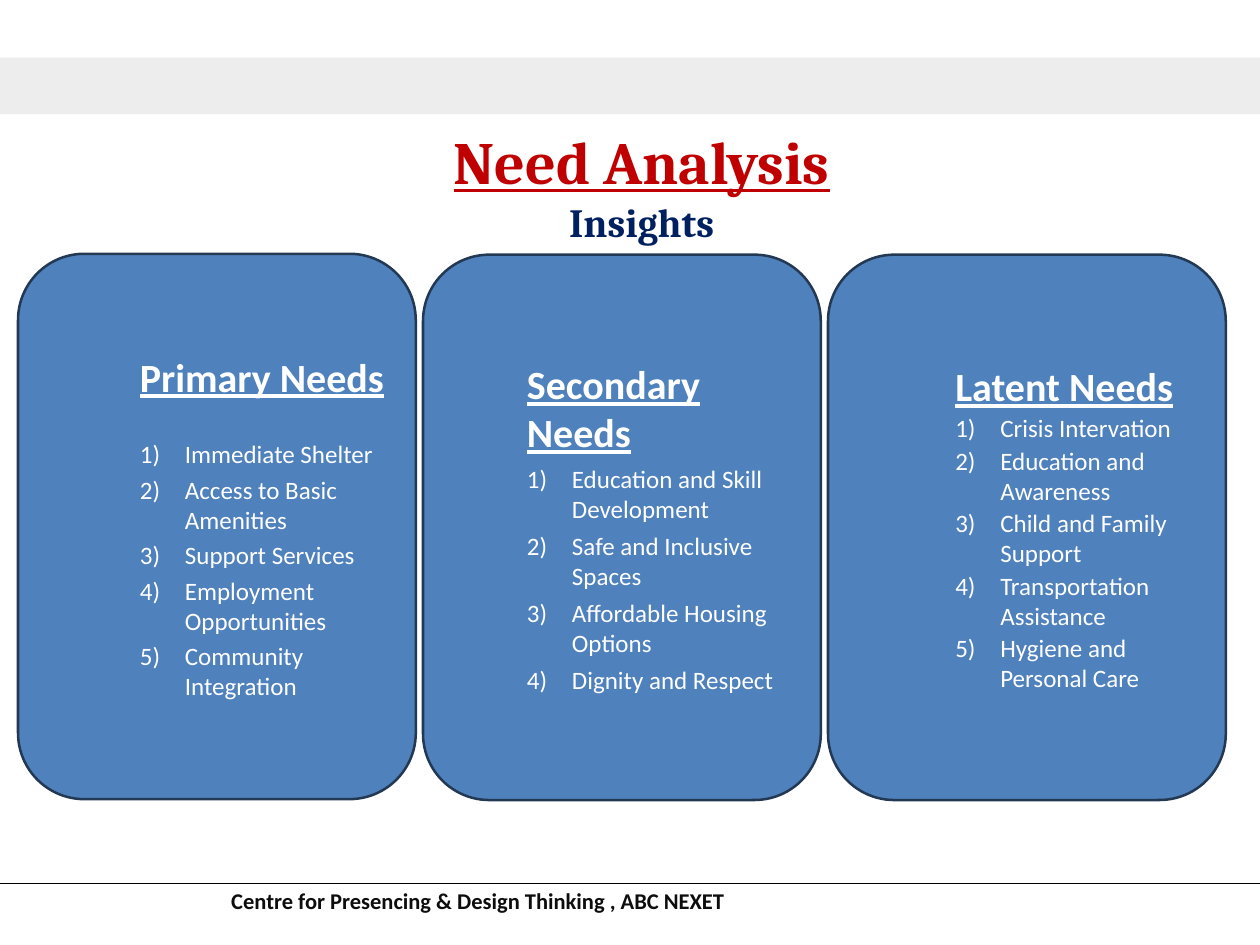
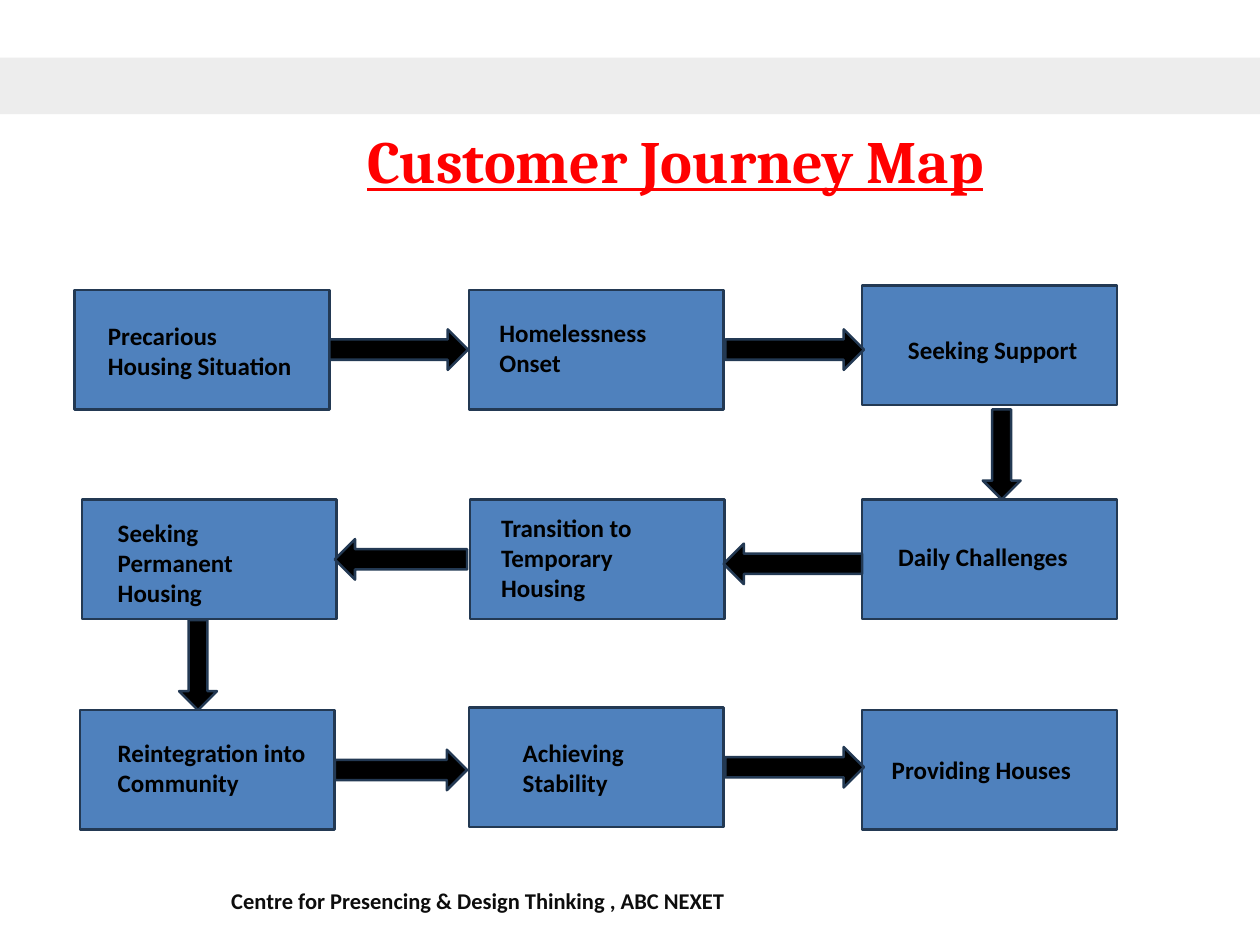
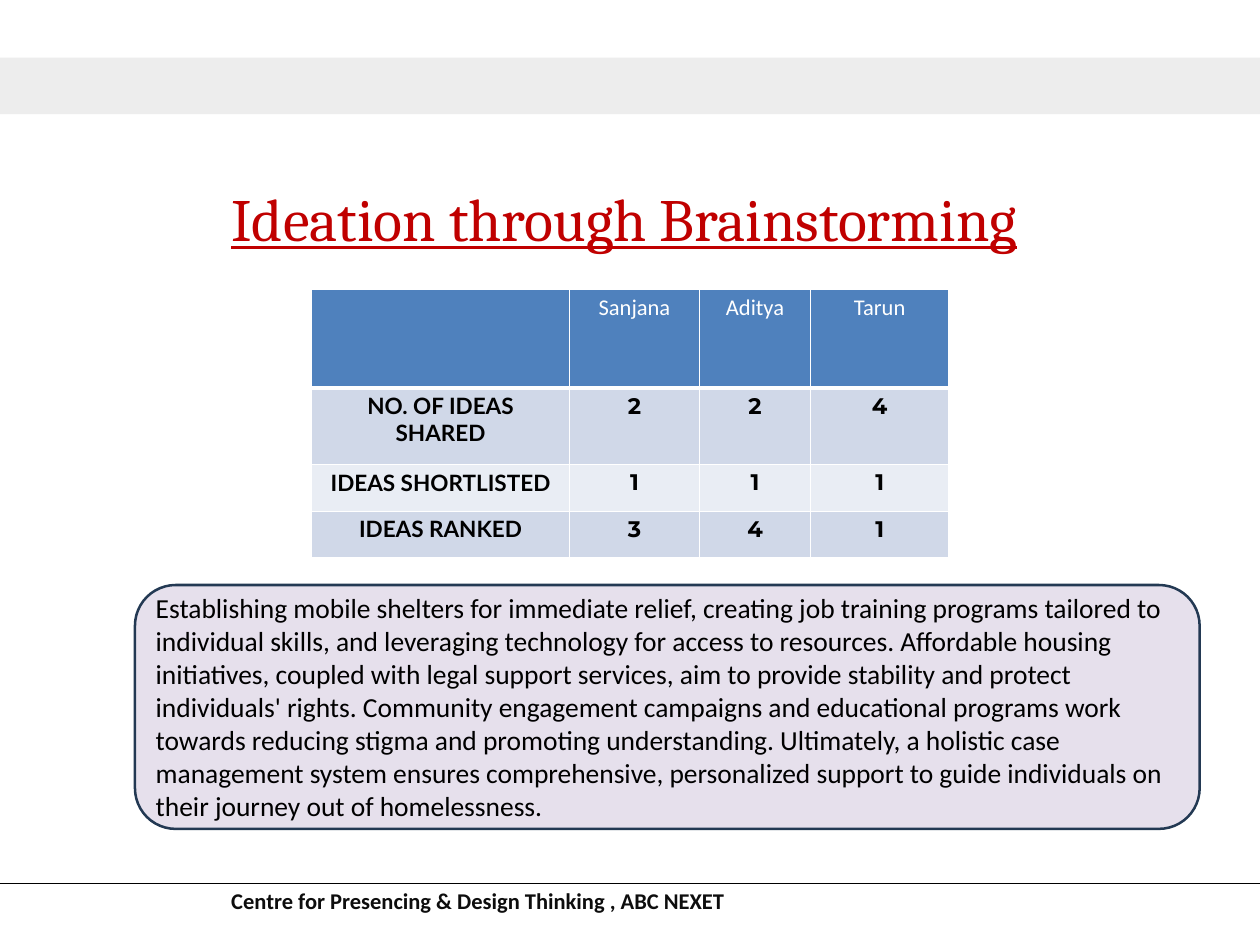
from lxml import etree
from pptx import Presentation
from pptx.dml.color import RGBColor
from pptx.enum.shapes import MSO_CONNECTOR, MSO_SHAPE
from pptx.enum.text import MSO_ANCHOR, MSO_AUTO_SIZE, PP_ALIGN
from pptx.oxml.ns import qn
from pptx.util import Inches, Pt

RECTANGLE = MSO_SHAPE.RECTANGLE
ROUNDED = MSO_SHAPE.ROUNDED_RECTANGLE
RIGHT = MSO_SHAPE.RIGHT_ARROW
LEFT = MSO_SHAPE.LEFT_ARROW
DOWN = MSO_SHAPE.DOWN_ARROW
STRAIGHT = MSO_CONNECTOR.STRAIGHT
MIDDLE = MSO_ANCHOR.MIDDLE
GROW = MSO_AUTO_SIZE.SHAPE_TO_FIT_TEXT
ALIGN_LEFT = PP_ALIGN.LEFT
CENTER = PP_ALIGN.CENTER

WHITE = "FFFFFF"
BLACK = "000000"
BLUE = "4F81BD"
OUTLINE = "233953"
CRIMSON = "C00000"
RED = "FF0000"
NAVY = "002060"
BAND_GREY = "EDEDED"
FOOTER_INK = "0D0D0D"
LILAC = "E6E0EC"
ROW_FILLS = [BLUE, "D0D8E8", "E9EDF4", "D0D8E8"]

BODY_FONT = "Calibri"
TITLE_FONT = "Cambria"
FOOTER = "Centre for Presencing & Design Thinking , ABC NEXET"

CARD_WIDTH, CARD_HEIGHT, CARD_STEP = 4.42, 6.06, 4.5
CARDS = [
    ("Primary Needs", 2.82, 1.04, 4.4, 26.4,
     ["Immediate Shelter", "Access to Basic Amenities", "Support Services",
      "Employment Opportunities", "Community Integration"]),
    ("Secondary Needs", 2.83, 0.84, 5.8, 0,
     ["Education and Skill Development", "Safe and Inclusive Spaces",
      "Affordable Housing Options", "Dignity and Respect"]),
    ("Latent Needs", 2.83, 1.1, 2, 0,
     ["Crisis Intervation", "Education and Awareness",
      "Child and Family Support", "Transportation Assistance",
      "Hygiene and Personal Care"]),
]

STEP_WIDTH, STEP_HEIGHT, LABEL_WIDTH = 2.83, 1.33, 2.31
STEPS = [
    ("Precarious Housing Situation", (0.83, 3.22), (1.1, 3.51), 0.77),
    ("Homelessness Onset", (5.21, 3.22), (5.45, 3.48), 0.77),
    ("Seeking Support", (9.58, 3.17), (9.99, 3.67), 0.44),
    ("Daily Challenges", (9.58, 5.55), (9.88, 5.97), 0.44),
    ("Transition to Temporary Housing", (5.22, 5.55), (5.47, 5.65), 1.11),
    ("Seeking Permanent Housing", (0.91, 5.55), (1.21, 5.7), 1.11),
    ("Reintegration into Community", (0.89, 7.89), (1.21, 8.14), 0.77),
    ("Achieving Stability", (5.21, 7.86), (5.71, 8.14), 0.77),
    ("Providing Houses", (9.58, 7.89), (9.81, 8.33), 0.44),
]
ARROWS = [
    (RIGHT, 3.66, 3.66, 1.54, 0.45),
    (RIGHT, 8.06, 3.66, 1.54, 0.45),
    (DOWN, 10.92, 4.55, 0.42, 1),
    (LEFT, 8.04, 6.04, 1.54, 0.45),
    (LEFT, 3.72, 5.99, 1.47, 0.45),
    (DOWN, 1.99, 6.89, 0.42, 1),
    (RIGHT, 3.72, 8.33, 1.47, 0.45),
    (RIGHT, 8.06, 8.3, 1.54, 0.45),
]

COLUMN_WIDTHS = [2.87, 1.44, 1.24, 1.53]
ROW_HEIGHTS = [1.09, 0.85, 0.52, 0.52]
IDEAS = [
    ["", "Sanjana", "Aditya", "Tarun"],
    ["NO. OF IDEAS SHARED", "2", "2", "4"],
    ["IDEAS SHORTLISTED", "1", "1", "1"],
    ["IDEAS RANKED", "3", "4", "1"],
]
SUMMARY = (
    "Establishing mobile shelters for immediate relief, creating job training "
    "programs tailored to individual skills, and leveraging technology for "
    "access to resources. Affordable housing initiatives, coupled with legal "
    "support services, aim to provide stability and protect individuals' "
    "rights. Community engagement campaigns and educational programs work "
    "towards reducing stigma and promoting understanding. Ultimately, a "
    "holistic case management system ensures comprehensive, personalized "
    "support to guide individuals on their journey out of homelessness."
)


def color(value):
    return RGBColor.from_string(value)


def write_text(frame, text, size=20, font=BODY_FONT, ink=BLACK, bold=False,
               underline=False, align=ALIGN_LEFT, before=0, after=0,
               line_height=None, margin=0, indent=0, numbered=False):
    paragraph = frame.paragraphs[0]
    if paragraph.runs:
        paragraph = frame.add_paragraph()
    paragraph.alignment = align
    paragraph.space_before = Pt(before)
    paragraph.space_after = Pt(after)
    if line_height:
        paragraph.line_spacing = Pt(line_height)
    properties = paragraph._p.get_or_add_pPr()
    properties.set("marL", str(Inches(margin)))
    properties.set("indent", str(Inches(indent)))
    if numbered:
        number = etree.SubElement(properties, qn("a:buAutoNum"))
        number.set("type", "arabicParenR")
    run = paragraph.add_run()
    run.text = text
    run.font.size = Pt(size)
    run.font.name = font
    run.font.bold = bold
    run.font.underline = underline
    run.font.color.rgb = color(ink)


def add_text_box(slide, left, top, width, height, insets=(0.1, 0.05, 0.1, 0.05)):
    box = slide.shapes.add_textbox(
        Inches(left), Inches(top), Inches(width), Inches(height))
    frame = box.text_frame
    frame.word_wrap = True
    frame.auto_size = GROW
    frame.margin_left, frame.margin_top, frame.margin_right, frame.margin_bottom = (
        Inches(inset) for inset in insets)
    return frame


def add_block(slide, kind, left, top, width, height, fill=BLUE, line=OUTLINE):
    shape = slide.shapes.add_shape(
        kind, Inches(left), Inches(top), Inches(width), Inches(height))
    shape.shadow.inherit = False
    shape.fill.solid()
    shape.fill.fore_color.rgb = color(fill)
    if line:
        shape.line.color.rgb = color(line)
        shape.line.width = Pt(2)
    else:
        shape.line.fill.background()
    shape.text_frame.vertical_anchor = MIDDLE
    return shape.text_frame


def add_rule(slide):
    rule = slide.shapes.add_connector(
        STRAIGHT, Inches(0), Inches(9.82), Inches(14), Inches(9.82))
    rule.line.color.rgb = color(BLACK)
    rule.line.width = Pt(1)
    etree.SubElement(rule._element.spPr, qn("a:effectLst"))


def add_base_slide(presentation, ruled=True):
    slide = presentation.slides.add_slide(presentation.slide_layouts[6])
    add_block(slide, RECTANGLE, 0, 0.64, 14, 0.63, fill=BAND_GREY, line=None)
    if ruled:
        add_rule(slide)
    footer = add_text_box(slide, 2.56, 9.92, 9.1, 0.25, insets=(0, 0, 0, 0))
    write_text(footer, FOOTER, size=18, ink=FOOTER_INK, bold=True,
               line_height=16.9, margin=0.01)
    return slide


def add_title(slide, text, left, top, width, height, inset=0.01, **text_format):
    frame = add_text_box(slide, left, top, width, height, insets=(0, inset, 0, 0))
    style = dict(size=48, font=TITLE_FONT, ink=CRIMSON, underline=True, before=1)
    write_text(frame, text, **{**style, **text_format})
    return frame


def add_card(slide, left, heading, top, margin, spacing, heading_gap, needs):
    frame = add_block(slide, ROUNDED, left, top, CARD_WIDTH, CARD_HEIGHT)
    write_text(frame, heading, size=32, ink=WHITE, bold=True, underline=True,
               before=spacing, after=heading_gap, margin=margin)
    for need in needs:
        write_text(frame, need, ink=WHITE, before=spacing,
                   margin=margin + 0.5, indent=-0.5, numbered=True)


def set_borders(cell, bottom):
    properties = cell._tc.get_or_add_tcPr()
    for side, width in (("lnL", 1), ("lnR", 1), ("lnT", 1), ("lnB", bottom)):
        border = etree.SubElement(properties, qn("a:" + side), w=str(Pt(width)))
        fill = etree.SubElement(border, qn("a:solidFill"))
        etree.SubElement(fill, qn("a:srgbClr"), val=WHITE)


def add_ideas_table(slide):
    table = slide.shapes.add_table(
        len(IDEAS), len(COLUMN_WIDTHS), Inches(3.46), Inches(3.22),
        Inches(sum(COLUMN_WIDTHS)), Inches(sum(ROW_HEIGHTS))).table
    for column, width in zip(table.columns, COLUMN_WIDTHS):
        column.width = Inches(width)
    for row_index, values in enumerate(IDEAS):
        header = row_index == 0
        table.rows[row_index].height = Inches(ROW_HEIGHTS[row_index])
        for column_index, value in enumerate(values):
            cell = table.cell(row_index, column_index)
            set_borders(cell, bottom=3 if header else 1)
            cell.fill.solid()
            cell.fill.fore_color.rgb = color(ROW_FILLS[row_index])
            body_font = "Lato" if column_index == 0 else "Montserrat"
            if value:
                write_text(cell.text_frame, value, size=18, align=CENTER,
                           font=BODY_FONT if header else body_font,
                           ink=WHITE if header else BLACK, bold=not header)


def build_need_analysis(presentation):
    slide = add_base_slide(presentation)
    title = add_title(slide, "Need Analysis", 2.01, 1.37, 9.99, 1.37,
                      bold=True, align=CENTER, margin=0.25)
    write_text(title, "Insights", size=32, font=TITLE_FONT, ink=NAVY, bold=True,
               align=CENTER, before=1, margin=0.25)
    for index, card in enumerate(CARDS):
        add_card(slide, 0.2 + index * CARD_STEP, *card)


def build_journey_map(presentation):
    slide = add_base_slide(presentation, ruled=False)
    add_title(slide, "Customer Journey Map", 4.08, 1.48, 9.34, 0.7, inset=0.09,
              ink=RED, bold=True, before=6.5, line_height=43.2)
    for _, position, _, _ in STEPS:
        add_block(slide, RECTANGLE, *position, STEP_WIDTH, STEP_HEIGHT)
    for arrow in ARROWS:
        add_block(slide, *arrow, fill=BLACK)
    for label, _, position, height in STEPS:
        frame = add_text_box(slide, *position, LABEL_WIDTH, height)
        write_text(frame, label, bold=True)


def build_ideation(presentation):
    slide = add_base_slide(presentation)
    add_title(slide, "Ideation through Brainstorming", 2.56, 2.01, 10.08, 0.82,
              margin=0.01)
    add_ideas_table(slide)
    summary = add_block(slide, ROUNDED, 1.5, 6.5, 11.83, 2.71, fill=LILAC)
    write_text(summary, SUMMARY, size=22)


def main():
    presentation = Presentation()
    presentation.slide_width = Inches(14)
    presentation.slide_height = Inches(10.5)
    build_need_analysis(presentation)
    build_journey_map(presentation)
    build_ideation(presentation)
    presentation.save("out.pptx")


if __name__ == "__main__":
    main()
